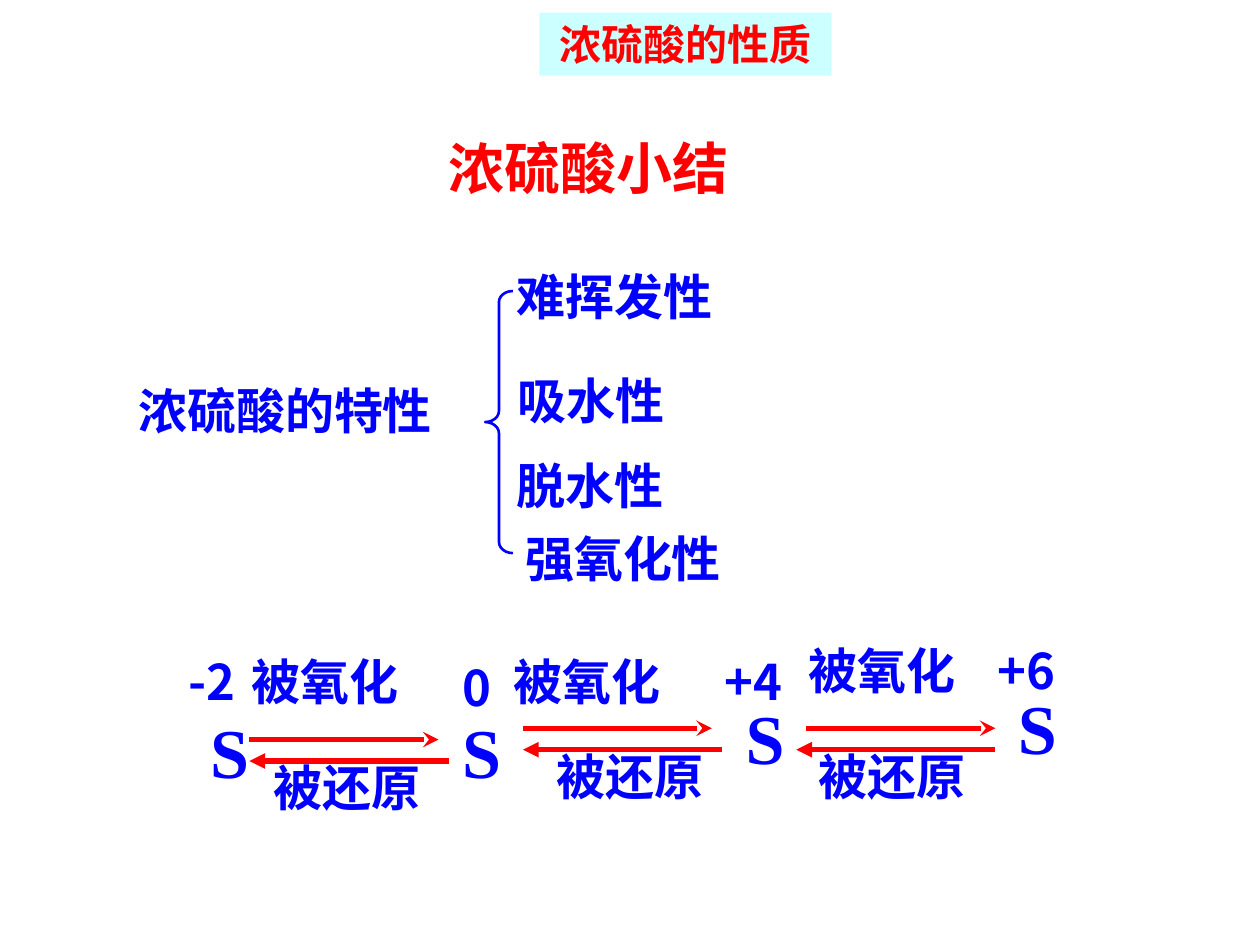
from lxml.etree import SubElement
from pptx import Presentation
from pptx.dml.color import RGBColor
from pptx.enum.shapes import MSO_CONNECTOR, MSO_SHAPE
from pptx.enum.text import MSO_ANCHOR, PP_ALIGN
from pptx.oxml.ns import qn
from pptx.util import Inches, Pt

BLUE = RGBColor(0x00, 0x00, 0xFF)
RED = RGBColor(0xFF, 0x00, 0x00)
PALE_CYAN = RGBColor(0xCC, 0xFF, 0xFF)
SANS = "Noto Sans CJK SC"
SERIF = "Times New Roman"


def style_font(font, properties, name, size, color):
    """Apply a bold face to Latin and Chinese characters alike."""
    font.name, font.size, font.bold = name, Pt(size), True
    font.color.rgb = color
    SubElement(properties, qn("a:ea")).set("typeface", SANS)


def style_paragraph(paragraph, name, size, color):
    """Style a whole paragraph."""
    font = paragraph.font
    properties = paragraph._p.pPr.find(qn("a:defRPr"))
    style_font(font, properties, name, size, color)


def add_label(slide, text, left, top, width, height=0.57, name=SANS, size=28):
    """Place one line of blue text in the given box."""
    label = slide.shapes.add_textbox(
        Inches(left), Inches(top), Inches(width), Inches(height))
    frame = label.text_frame
    frame.word_wrap = True
    frame.vertical_anchor = MSO_ANCHOR.MIDDLE
    paragraph = frame.paragraphs[0]
    paragraph.text = text
    style_paragraph(paragraph, name, size, BLUE)


def add_arrow(slide, left, top, length, end, head):
    """Draw a red horizontal arrow with a head at the named end."""
    arrow = slide.shapes.add_connector(
        MSO_CONNECTOR.STRAIGHT, Inches(left), Inches(top),
        Inches(left + length), Inches(top))
    arrow.line.color.rgb = RED
    arrow.line.width = Pt(3)
    SubElement(arrow.line._get_or_add_ln(), qn(f"a:{end}")).set("type", head)
    SubElement(arrow._element.spPr, qn("a:effectLst"))


def add_topic_banner(slide, left, top, width, height):
    """Draw the coloured topic banner."""
    banner = slide.shapes.add_shape(
        MSO_SHAPE.RECTANGLE, Inches(left), Inches(top), Inches(width), Inches(height))
    banner.shadow.inherit = False
    banner.fill.solid()
    banner.fill.fore_color.rgb = PALE_CYAN
    banner.line.fill.background()
    banner.text_frame.vertical_anchor = MSO_ANCHOR.MIDDLE
    paragraph = banner.text_frame.paragraphs[0]
    paragraph.text = "浓硫酸的性质"
    paragraph.alignment = PP_ALIGN.CENTER
    style_paragraph(paragraph, "Arial", 24, RED)


def add_summary_title(slide, left, top, width, height):
    """Place the title, whose two parts have different fonts."""
    title = slide.shapes.add_textbox(
        Inches(left), Inches(top), Inches(width), Inches(height))
    title.text_frame.word_wrap = True
    title.text_frame.vertical_anchor = MSO_ANCHOR.MIDDLE
    for text, name in (("浓硫酸", "Arial"), ("小结", SANS)):
        run = title.text_frame.paragraphs[0].add_run()
        run.text = text
        style_font(run.font, run._r.get_or_add_rPr(), name, 32, RED)


def add_properties(slide, left, top):
    """Lay out the subject, its brace and the four properties."""
    add_label(slide, "浓硫酸的特性", left, top + 0.91, 3, name=SERIF)
    brace = slide.shapes.add_shape(
        MSO_SHAPE.LEFT_BRACE, Inches(left + 2.85), Inches(top + 0.25),
        Inches(0.22), Inches(2.08))
    brace.adjustments[0] = 0.4
    brace.shadow.inherit = False
    brace.fill.background()
    brace.line.color.rgb = BLUE
    brace.line.width = Pt(1.5)
    for text, dx, dy in (("难挥发性", 3, 0), ("吸水性", 3.01, 0.83),
                         ("脱水性", 3, 1.5), ("强氧化性", 3.07, 2.08)):
        add_label(slide, text, left + dx, top + dy, 3)


def add_oxidation_chain(slide, left, top):
    """Lay out the sulfur states and the reactions between them."""
    states = (("-2", 0, 0.09, 0.17, 0.5), ("0", 2.17, 0.14, 2.17, 0.5),
              ("+4", 4.25, 0.09, 4.42, 0.39), ("+6", 6.42, 0, 6.58, 0.31))
    for charge, charge_x, charge_y, sulfur_x, sulfur_y in states:
        add_label(slide, charge, left + charge_x, top + charge_y, 0.83)
        add_label(slide, "S", left + sulfur_x, top + sulfur_y + 0.04, 0.75, 0.77,
                  SERIF, 40)
    steps = ((0.58, 0.58, 0.84, 0.5, 0.09, 0.67),
             (2.75, 2.75, 0.75, 2.58, 0.09, 2.92),
             (5, 4.92, 0.75, 4.92, 0, 5))
    for forward_x, back_x, arrow_y, oxidized_x, oxidized_y, reduced_x in steps:
        add_arrow(slide, left + forward_x, top + arrow_y, 1.5, "tailEnd", "stealth")
        add_arrow(slide, left + back_x, top + arrow_y + 0.17, 1.58, "headEnd", "triangle")
        add_label(slide, "被氧化", left + oxidized_x, top + oxidized_y, 1.67, name=SERIF)
        add_label(slide, "被还原", left + reduced_x, top + arrow_y + 0.09, 1.67, name=SERIF)


def main():
    """Build and save the slide."""
    presentation = Presentation()
    presentation.slide_width = Inches(10)
    presentation.slide_height = Inches(7.5)
    slide = presentation.slides.add_slide(presentation.slide_layouts[6])
    add_properties(slide, 1, 2.06)
    add_oxidation_chain(slide, 1.4, 5.03)
    add_summary_title(slide, 3.46, 1.01, 3.58, 0.64)
    add_topic_banner(slide, 4.28, 0.1, 2.32, 0.5)
    presentation.save("out.pptx")


if __name__ == "__main__":
    main()
